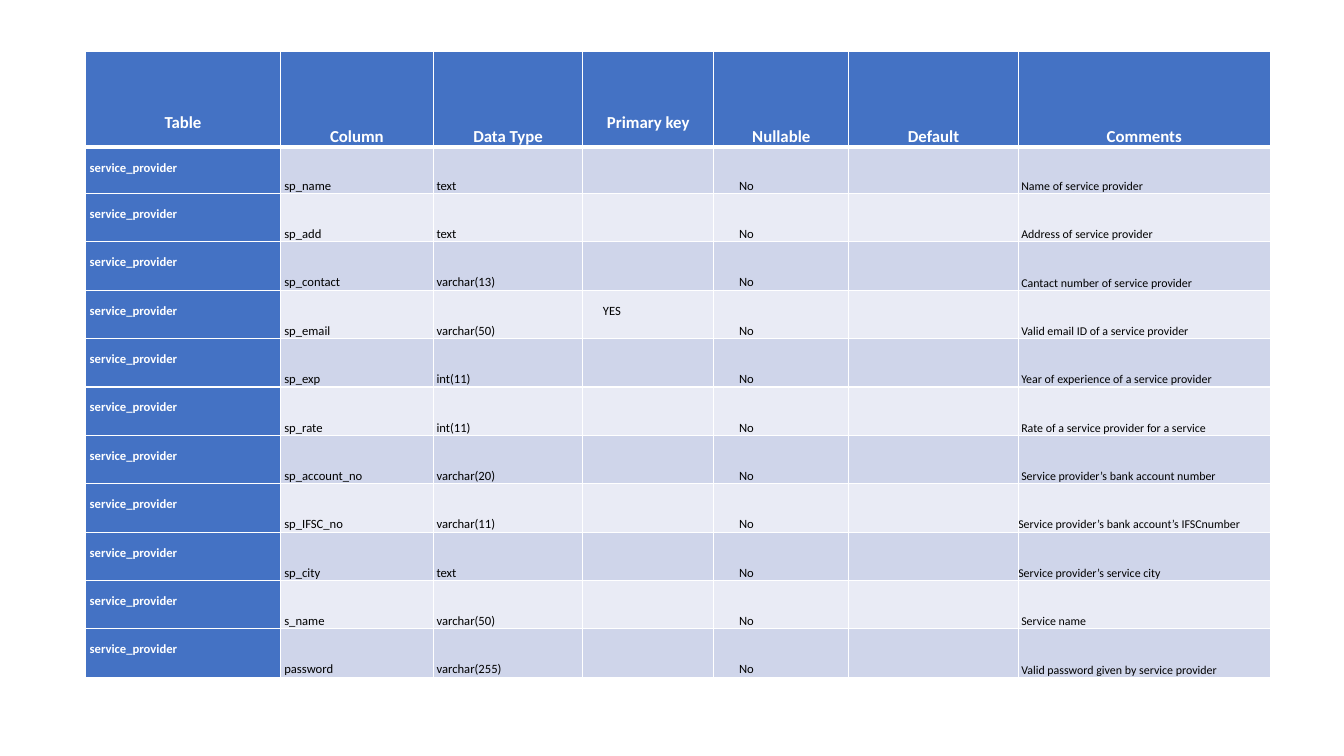
from dataclasses import dataclass

from lxml.etree import SubElement
from pptx import Presentation
from pptx.dml.color import RGBColor as Rgb
from pptx.enum.text import MSO_ANCHOR as Anchor, PP_ALIGN as Align
from pptx.oxml.ns import qn
from pptx.util import Inches, Pt


@dataclass(frozen=True)
class Theme:
    font: str = "Calibri"
    accent: str = "4472C4"
    bands: tuple = ("CFD5EA", "E9EBF5")
    light: str = "FFFFFF"
    dark: str = "000000"
    heading: float = 12
    body: float = 9
    comment: float = 8.5
    leading: float = 10.2
    rule: float = 1
    heavy_rule: float = 3


THEME = Theme()
UNIT = Inches(0.01)
SLIDE = (1333, 750)
TABLE_AT = (85, 51)
COLUMNS = (193, 152, 148, 130, 134, 168, 250)
ROWS = (95, 46) + (48,) * 10
HEADINGS = ("Table", "Column", "Data Type", "Primary key", "Nullable", "Default", "Comments")
RAISED_HEADINGS = ("Table", "Primary key")
HEADING_DROP = 61
LINE_DROP = 14
INDENTS = (4, 4, 3, 20, 25, 0, 3)
TABLE_NAME = "service_provider"
PRIMARY_KEY = "sp_email"
FLUSH_COMMENTS = ("sp_IFSC_no", "sp_city")
FIELDS = (
    ("sp_name", "text", "Name of service provider"),
    ("sp_add", "text", "Address of service provider"),
    ("sp_contact", "varchar(13)", "Cantact number of service provider"),
    ("sp_email", "varchar(50)", "Valid email ID of a service provider"),
    ("sp_exp", "int(11)", "Year of experience of a service provider"),
    ("sp_rate", "int(11)", "Rate of a service provider for a service"),
    ("sp_account_no", "varchar(20)", "Service provider’s bank account number"),
    ("sp_IFSC_no", "varchar(11)", "Service provider’s bank account’s IFSCnumber"),
    ("sp_city", "text", "Service provider’s service city"),
    ("s_name", "varchar(50)", "Service name"),
    ("password", "varchar(255)", "Valid password given by service provider"),
)


def apply(target, values):
    for attribute, value in values.items():
        setattr(target, attribute, value)


def rule_cell(cell, bottom):
    properties = cell._tc.get_or_add_tcPr()
    widths = {"a:lnL": THEME.rule, "a:lnR": THEME.rule, "a:lnT": THEME.rule, "a:lnB": bottom}
    for position, (side, width) in enumerate(widths.items()):
        line = SubElement(properties, qn(side), w=str(Pt(width)))
        SubElement(SubElement(line, qn("a:solidFill")), qn("a:srgbClr"), val=THEME.light)
        properties.insert(position, line)


def fill_cell(cell, text, fill, ink, size, bold=False, align=Align.LEFT,
              indent=0, drop=None, leading=None, bottom=THEME.rule):
    apply(cell, {
        "margin_left": indent * UNIT,
        "margin_right": 0,
        "margin_top": (drop or 0) * UNIT,
        "margin_bottom": 0,
        "vertical_anchor": Anchor.BOTTOM if drop is None else Anchor.TOP,
    })
    cell.fill.solid()
    cell.fill.fore_color.rgb = Rgb.from_string(fill)
    rule_cell(cell, bottom)
    paragraph = cell.text_frame.paragraphs[0]
    apply(paragraph, {"alignment": align, "line_spacing": leading})
    paragraph.font.size = Pt(size)
    if text:
        run = paragraph.add_run()
        run.text = text
        apply(run.font, {"name": THEME.font, "size": Pt(size), "bold": bold})
        run.font.color.rgb = Rgb.from_string(ink)


def add_headings(table):
    for column, heading in enumerate(HEADINGS):
        drop = HEADING_DROP if heading in RAISED_HEADINGS else None
        fill_cell(table.cell(0, column), heading, THEME.accent, THEME.light, THEME.heading,
                  bold=True, align=Align.CENTER, drop=drop, bottom=THEME.heavy_rule)


def add_field(table, row, field):
    name, data_type, comment = field
    key = "YES" if name == PRIMARY_KEY else ""
    entries = (TABLE_NAME, name, data_type, key, "No", "", comment)
    band = THEME.bands[(row - 1) % len(THEME.bands)]
    for column, (heading, entry) in enumerate(zip(HEADINGS, entries)):
        owner = heading == "Table"
        remark = heading == "Comments"
        flush = remark and name in FLUSH_COMMENTS
        fill_cell(table.cell(row, column), entry,
                  THEME.accent if owner else band,
                  THEME.light if owner else THEME.dark,
                  THEME.comment if remark else THEME.body,
                  bold=owner,
                  indent=0 if flush else INDENTS[column],
                  drop=LINE_DROP if heading in RAISED_HEADINGS else None,
                  leading=None if remark else Pt(THEME.leading))


def add_schema(slide):
    left, top = TABLE_AT
    frame = slide.shapes.add_table(len(ROWS), len(COLUMNS), left * UNIT, top * UNIT,
                                   sum(COLUMNS) * UNIT, sum(ROWS) * UNIT)
    table = frame.table
    apply(table, {"first_row": True, "first_col": True, "horz_banding": False})
    for column, width in zip(table.columns, COLUMNS):
        column.width = width * UNIT
    for row, height in zip(table.rows, ROWS):
        row.height = height * UNIT
    add_headings(table)
    for row, field in enumerate(FIELDS, start=1):
        add_field(table, row, field)


def main():
    deck = Presentation()
    width, height = SLIDE
    apply(deck, {"slide_width": width * UNIT, "slide_height": height * UNIT})
    add_schema(deck.slides.add_slide(deck.slide_layouts[6]))
    deck.save("out.pptx")


main()
